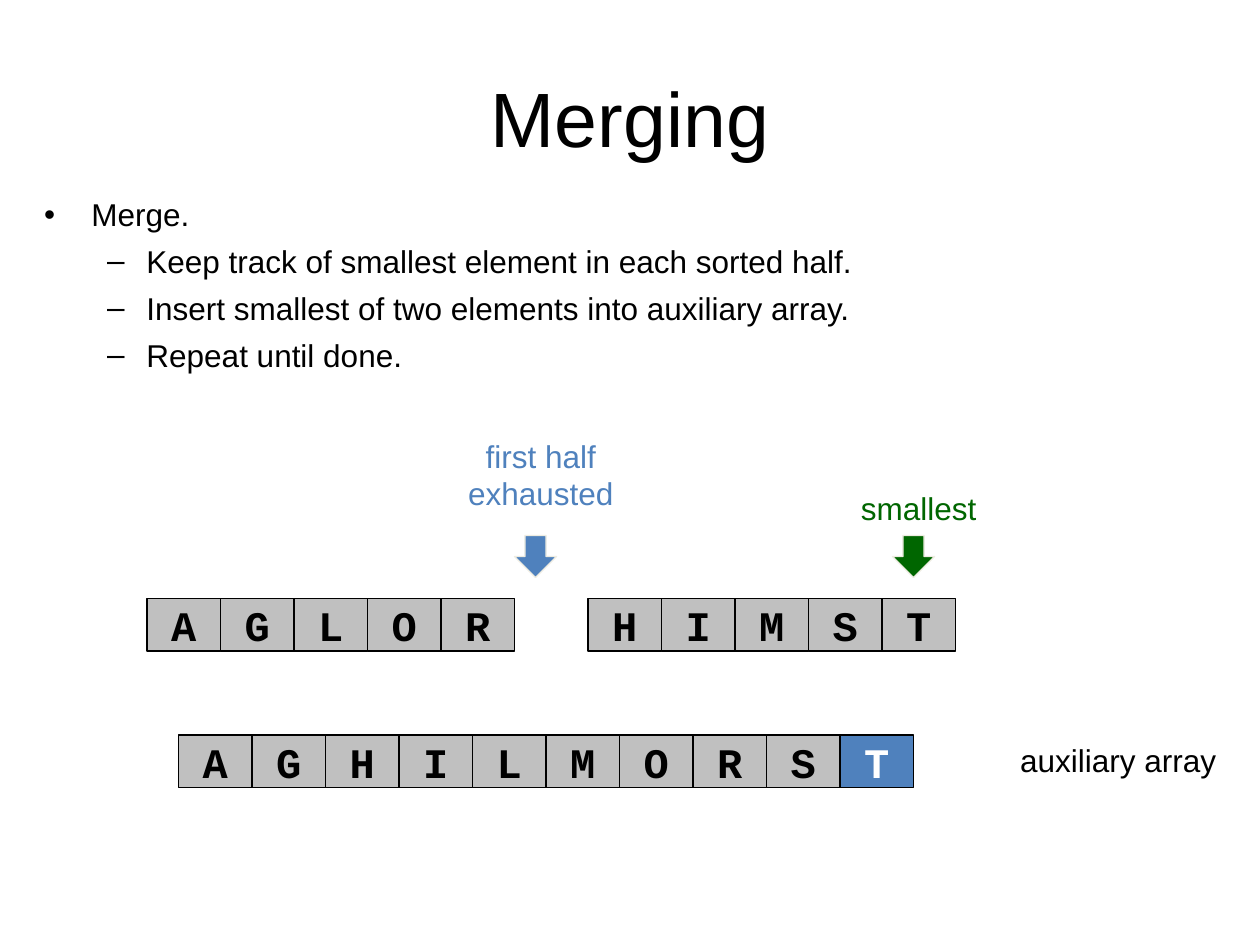
import pptx
import pptx.util
import pptx.dml.color
import pptx.enum.shapes
import pptx.enum.text

Pt = pptx.util.Pt
CENTER = pptx.enum.text.PP_ALIGN.CENTER
MIDDLE = pptx.enum.text.MSO_ANCHOR.MIDDLE
SHAPES = pptx.enum.shapes.MSO_SHAPE
BLACK, WHITE, GRAY = "000000", "FFFFFF", "C0C0C0"
BLUE, GREEN, PALE = "4F81BD", "006600", "EEECE1"


def color(hex_string):
    return pptx.dml.color.RGBColor.from_string(hex_string)


def style(paragraph, size, hex_string, font="Arial", bold=False):
    for run in paragraph.runs:
        run.font.name = font
        run.font.size = Pt(size)
        run.font.bold = bold
        run.font.color.rgb = color(hex_string)


deck = pptx.Presentation()
deck.slide_width, deck.slide_height = Pt(720), Pt(540)
slide = deck.slides.add_slide(deck.slide_layouts[1])

title = slide.shapes.title
title.left, title.top, title.width, title.height = Pt(36), Pt(21.6), Pt(648), Pt(90)
title.text_frame.text = "Merging"
title.text_frame.vertical_anchor = MIDDLE
title.text_frame.paragraphs[0].alignment = CENTER
style(title.text_frame.paragraphs[0], 44, BLACK)

steps = slide.placeholders[1]
steps.left, steps.top, steps.width, steps.height = Pt(18), Pt(108), Pt(648), Pt(356.4)
steps.text_frame.text = "\n".join([
    "Merge.",
    "Keep track of smallest element in each sorted half.",
    "Insert smallest of two elements into auxiliary array.",
    "Repeat until done.",
])
for number, step in enumerate(steps.text_frame.paragraphs):
    step.level = 1 if number else 0
    step.space_before = Pt(5.2 if number else 0)
    margin, indent = (58.5, -22.5) if number else (27, -27)
    properties = step._p.get_or_add_pPr()
    properties.set("marL", str(Pt(margin)))
    properties.set("indent", str(Pt(indent)))
    style(step, 18, BLACK)

labels = [
    ("auxiliary array", 570, 420, 138, 29, BLACK),
    ("first half\vexhausted", 234, 246, 150, 50.5, BLUE),
    ("smallest", 450, 276, 150, 29, GREEN),
]
for wording, left, top, width, height, hue in labels:
    label = slide.shapes.add_textbox(Pt(left), Pt(top), Pt(width), Pt(height))
    label.text_frame.word_wrap = True
    label.text_frame.text = wording
    label.text_frame.paragraphs[0].alignment = CENTER
    style(label.text_frame.paragraphs[0], 18, hue)

for left, hue in [(294, BLUE), (510, GREEN)]:
    pointer = slide.shapes.add_shape(SHAPES.DOWN_ARROW, Pt(left), Pt(306), Pt(24), Pt(24))
    pointer.shadow.inherit = False
    pointer.fill.solid()
    pointer.fill.fore_color.rgb = color(hue)
    pointer.line.color.rgb = color(PALE)
    pointer.line.width = Pt(0.75)

cell_width, cell_height = 42, 30
arrays = [("AGLOR", 84, 342, None), ("HIMST", 336, 342, None), ("AGHILMORST", 102, 420, 9)]
for letters, left, top, inserted in arrays:
    for index, letter in enumerate(letters):
        cell = slide.shapes.add_shape(
            SHAPES.RECTANGLE, Pt(left + index * cell_width), Pt(top), Pt(cell_width), Pt(cell_height))
        cell.shadow.inherit = False
        cell.fill.solid()
        cell.fill.fore_color.rgb = color(BLUE if index == inserted else GRAY)
        cell.line.color.rgb = color(BLACK)
        cell.line.width = Pt(0.75)
        cell.text_frame.word_wrap = False
        cell.text_frame.vertical_anchor = MIDDLE
        cell.text_frame.text = letter
        cell.text_frame.paragraphs[0].alignment = CENTER
        style(cell.text_frame.paragraphs[0], 24, WHITE if index == inserted else BLACK, "Courier New", True)

deck.save("out.pptx")
